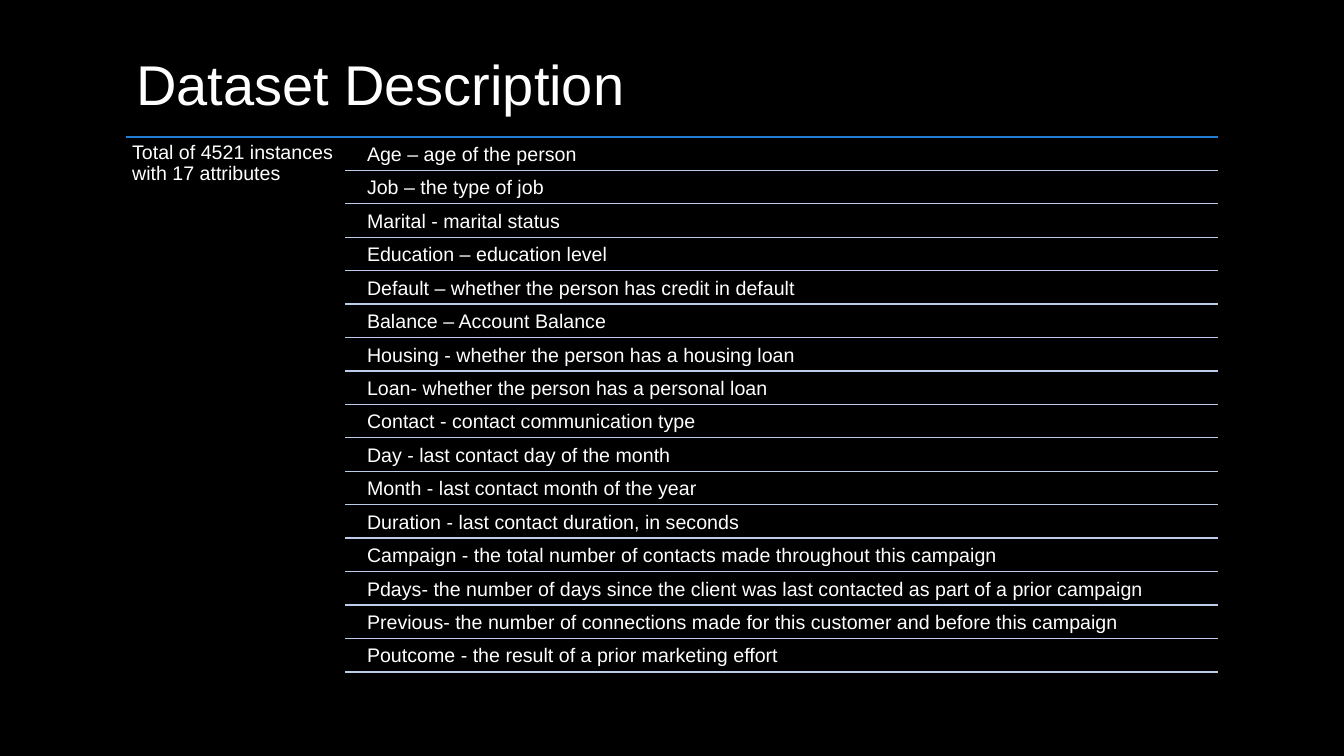
from lxml.etree import SubElement
from pptx import Presentation
from pptx.dml.color import RGBColor
from pptx.enum.shapes import MSO_CONNECTOR
from pptx.enum.text import MSO_ANCHOR, PP_ALIGN
from pptx.oxml.ns import qn
from pptx.util import Cm, Pt

# Content
TITLE = "Dataset Description"
SUMMARY = "Total of 4521 instances with 17 attributes"
ATTRIBUTES = [
    "Age – age of the person",
    "Job – the type of job",
    "Marital - marital status",
    "Education – education level",
    "Default – whether the person has credit in default",
    "Balance – Account Balance",
    "Housing - whether the person has a housing loan",
    "Loan- whether the person has a personal loan",
    "Contact - contact communication type",
    "Day - last contact day of the month",
    "Month - last contact month of the year",
    "Duration - last contact duration, in seconds",
    "Campaign - the total number of contacts made throughout this campaign",
    "Pdays- the number of days since the client was last contacted as part of a prior campaign",
    "Previous- the number of connections made for this customer and before this campaign",
    "Poutcome - the result of a prior marketing effort",
]

# Style
BLACK = RGBColor(0x00, 0x00, 0x00)
WHITE = RGBColor(0xFF, 0xFF, 0xFF)
BLUE = RGBColor(0x21, 0x7E, 0xD3)
PALE_BLUE = RGBColor(0xBD, 0xCC, 0xEA)
FONT = "Arial"
TITLE_SIZE, BODY_SIZE = 40, 14

# Layout in centimetres
LEFT, RIGHT = 3.18, 30.69
TITLE_TOP, TITLE_HEIGHT = 0.2, 3.78
LIST_TOP, LIST_BOTTOM = 3.45, 16.93
SUMMARY_WIDTH = 5.5
RULE_LEFT, TEXT_LEFT = 8.69, 9.1
ROW_HEIGHT = (LIST_BOTTOM - LIST_TOP) / len(ATTRIBUTES)
ROW_GAP = 0.04
TITLE_INSET, BODY_INSET = 0.25, 0.15


def add_text(slide, text, left, top, width, height, size, inset):
    box = slide.shapes.add_textbox(Cm(left), Cm(top), Cm(width), Cm(height))
    frame = box.text_frame
    frame.word_wrap = True
    frame.margin_left = frame.margin_right = Cm(inset)
    frame.margin_top = frame.margin_bottom = Cm(inset)
    paragraph = frame.paragraphs[0]
    paragraph.text = text
    paragraph.alignment = PP_ALIGN.LEFT
    paragraph.font.name = FONT
    paragraph.font.size = Pt(size)
    paragraph.font.color.rgb = WHITE
    return frame


def add_body(slide, text, left, top, width, height):
    frame = add_text(slide, text, left, top, width, height, BODY_SIZE, BODY_INSET)
    frame.paragraphs[0].line_spacing = 0.9


def add_rule(slide, left, y, color):
    rule = slide.shapes.add_connector(
        MSO_CONNECTOR.STRAIGHT, Cm(left), Cm(y), Cm(RIGHT), Cm(y))
    rule.line.color.rgb = color
    rule.line.width = Pt(1)
    SubElement(rule._element.spPr, qn("a:effectLst"))


def main():
    presentation = Presentation()
    presentation.slide_width, presentation.slide_height = Cm(33.87), Cm(19.05)
    slide = presentation.slides.add_slide(presentation.slide_layouts[6])
    slide.background.fill.solid()
    slide.background.fill.fore_color.rgb = BLACK

    # Title
    title = add_text(slide, TITLE, LEFT, TITLE_TOP, RIGHT - LEFT, TITLE_HEIGHT,
                     TITLE_SIZE, TITLE_INSET)
    title.vertical_anchor = MSO_ANCHOR.MIDDLE

    # Summary column under the top rule
    add_rule(slide, LEFT, LIST_TOP, BLUE)
    add_body(slide, SUMMARY, LEFT, LIST_TOP, SUMMARY_WIDTH, LIST_BOTTOM - LIST_TOP)

    # Attribute rows, each closed by a rule
    for index, attribute in enumerate(ATTRIBUTES):
        row_top = LIST_TOP + index * ROW_HEIGHT
        add_body(slide, attribute, TEXT_LEFT, row_top + ROW_GAP,
                 RIGHT - TEXT_LEFT, ROW_HEIGHT - ROW_GAP)
        add_rule(slide, RULE_LEFT, row_top + ROW_HEIGHT, PALE_BLUE)

    presentation.save("out.pptx")


if __name__ == "__main__":
    main()
